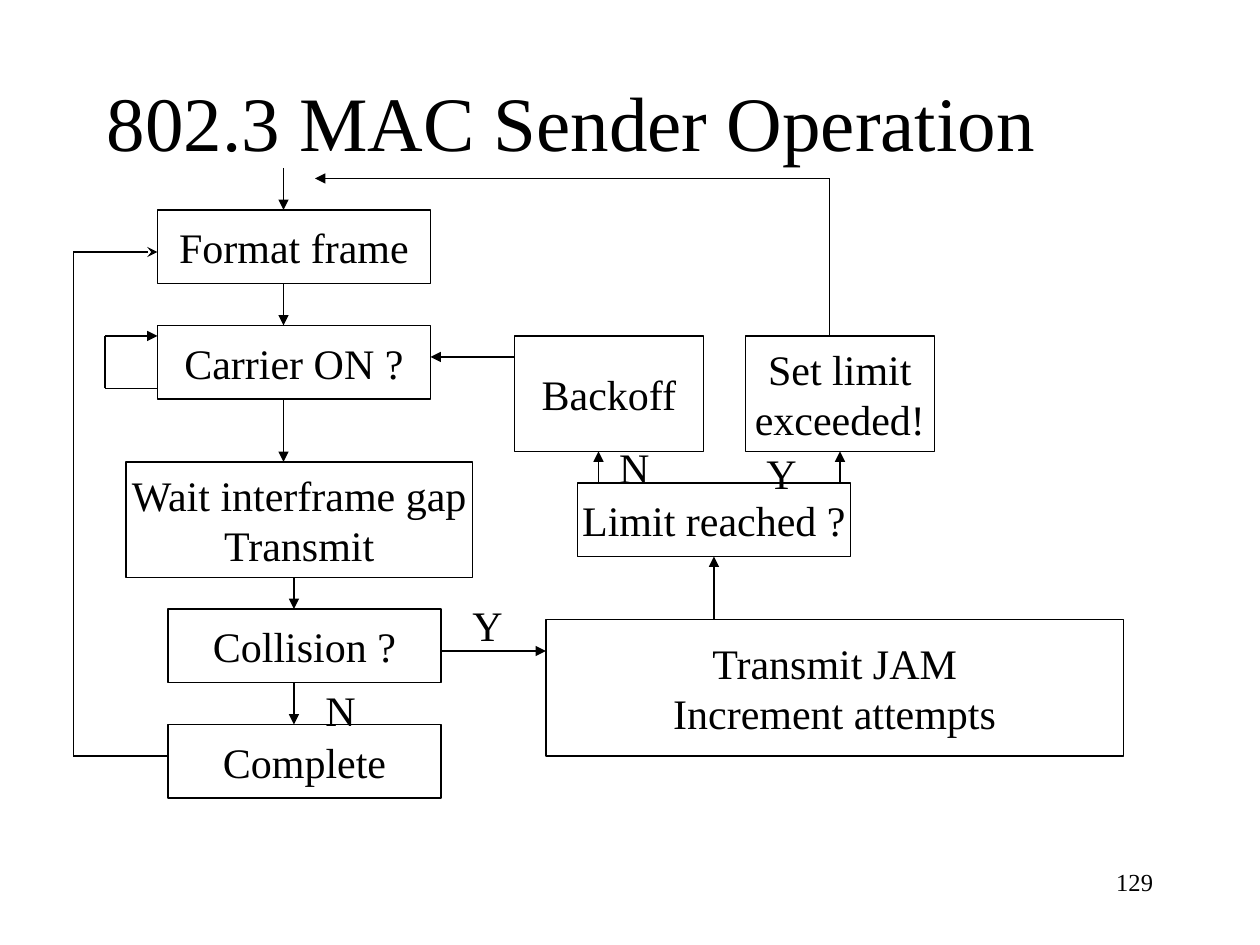
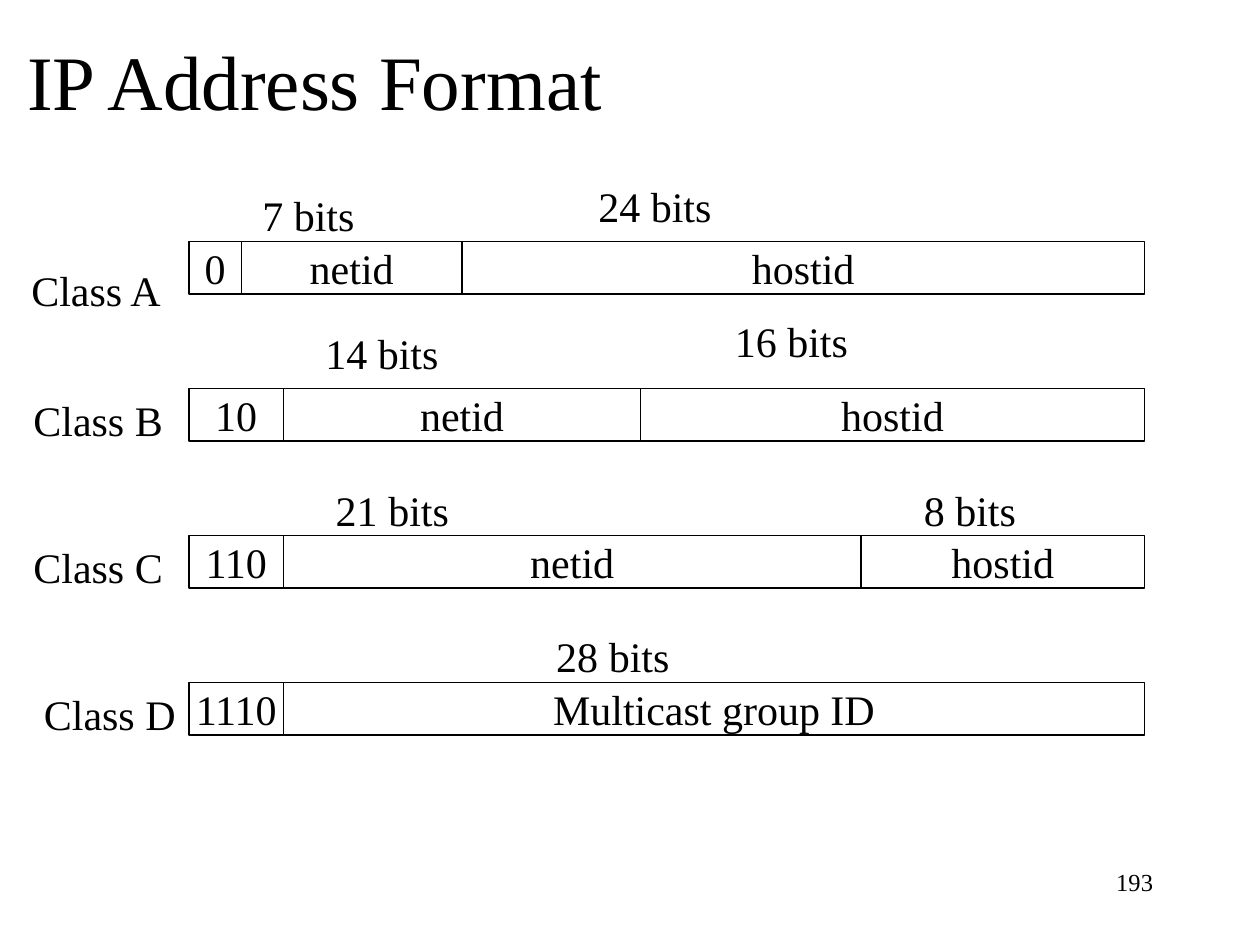
import itertools

import lxml.etree
import pptx
import pptx.dml.color
import pptx.enum.shapes
import pptx.enum.text
import pptx.oxml.ns
import pptx.util

# Both slides sit on a grid of twelve units to 2.54 cm
UNIT = 2.54 / 12
FONT = "Times New Roman"
color = pptx.dml.color.RGBColor.from_string
BLACK = color("000000")
WHITE = color("FFFFFF")
qn = pptx.oxml.ns.qn
Align = pptx.enum.text.PP_ALIGN
Anchor = pptx.enum.text.MSO_ANCHOR


def add_text(slide, text, place, size=24, align=Align.LEFT,
             anchor=Anchor.TOP, wrap=False, framed=False):
    """Add text at (left, top, width, height), in a ruled box if framed."""
    lengths = [pptx.util.Cm(value * UNIT) for value in place]
    if framed:
        shape = slide.shapes.add_shape(
            pptx.enum.shapes.MSO_SHAPE.RECTANGLE, *lengths)
        shape.shadow.inherit = False
        shape.fill.solid()
        shape.fill.fore_color.rgb = WHITE
        shape.line.color.rgb = BLACK
        shape.line.width = pptx.util.Pt(0.75)
        align, anchor = Align.CENTER, Anchor.MIDDLE
    else:
        shape = slide.shapes.add_textbox(*lengths)
    text_frame = shape.text_frame
    text_frame.text = text
    text_frame.word_wrap = wrap
    text_frame.vertical_anchor = anchor
    if not (framed or wrap):
        text_frame.auto_size = pptx.enum.text.MSO_AUTO_SIZE.SHAPE_TO_FIT_TEXT
    for paragraph in text_frame.paragraphs:
        paragraph.alignment = align
        for run in paragraph.runs:
            run.font.name = FONT
            run.font.size = pptx.util.Pt(size)
            run.font.color.rgb = BLACK
    return shape


def add_route(slide, points, head="triangle"):
    """Join the points with straight lines, the last one with an arrowhead."""
    for start, end in itertools.pairwise(points):
        connector = slide.shapes.add_connector(
            pptx.enum.shapes.MSO_CONNECTOR.STRAIGHT,
            *[pptx.util.Cm(value * UNIT) for value in start + end])
        connector.line.color.rgb = BLACK
        connector.line.width = pptx.util.Pt(0.75)
        properties = connector._element.spPr
        lxml.etree.SubElement(properties, qn("a:effectLst"))
    line = properties.find(qn("a:ln"))
    lxml.etree.SubElement(line, qn("a:tailEnd"), type=head)
    return connector


presentation = pptx.Presentation()
presentation.slide_width = pptx.util.Cm(25.4)
presentation.slide_height = pptx.util.Cm(19.05)

# Titles and page numbers
slides = []
for title, title_place, page in [
    ("802.3 MAC Sender Operation", (9, 4, 102, 15), "129"),
    ("IP Address Format", (1.4, 2.1, 102, 11), "193"),
]:
    slide = presentation.slides.add_slide(presentation.slide_layouts[6])
    add_text(slide, title, title_place, size=44, anchor=Anchor.MIDDLE, wrap=True)
    add_text(slide, page, (86, 82, 25, 6), size=14, align=Align.RIGHT, wrap=True)
    slides.append(slide)
sender_slide, address_slide = slides

# Sender flowchart: steps
steps = {}
for text, place in [
    ("Format frame", (15, 20, 26, 7)),
    ("Carrier ON ?", (15, 31, 26, 7)),
    ("Wait interframe gap\nTransmit", (12, 44, 33, 11)),
    ("Collision ?", (16, 58, 26, 7)),
    ("Complete", (16, 69, 26, 7)),
    ("Transmit JAM\nIncrement attempts", (52, 59, 55, 13)),
    ("Limit reached ?", (55, 46, 26, 7)),
    ("Backoff", (49, 32, 18, 11)),
    ("Set limit\nexceeded!", (71, 32, 18, 11)),
]:
    steps[text] = add_text(sender_slide, text, place, framed=True)

# Sender flowchart: arrows
for points in [
    [(27, 16), (27, 20)],
    [(27, 27), (27, 31)],
    [(27, 38), (27, 44)],
    [(28, 55), (28, 58)],
    [(28, 65), (28, 69)],
    [(42, 62), (52, 62)],
    [(57, 46), (57, 43)],
    [(49, 34), (41, 34)],
    [(15, 37), (10, 37), (10, 32), (15, 32)],
    [(79, 32), (79, 17), (30, 17)],
]:
    add_route(sender_slide, points)
add_route(sender_slide, [(16, 72), (7, 72), (7, 24), (15, 24)], head="stealth")
to_limit = add_route(sender_slide, [(68, 59), (68, 53)])
to_limit.end_connect(steps["Limit reached ?"], 2)
to_exceeded = add_route(sender_slide, [(80, 46), (80, 43)])
to_exceeded.end_connect(steps["Set limit\nexceeded!"], 2)

# Sender flowchart: answers
for answer, left, top in [
    ("Y", 43.8, 56.5), ("N", 29.8, 64.6), ("N", 57.8, 41.5), ("Y", 71.8, 42),
]:
    add_text(sender_slide, answer, (left, top, 5.3, 6))

# Address classes: name and its place, field edges, field texts, bit counts
address_classes = [
    ("Class A", 1.8, 24.6, (18, 23, 44, 109), ("0", "netid", "hostid"),
     [("7 bits", 23.8, 17.5), ("24 bits", 55.8, 16.6)]),
    ("Class B", 2, 37, (18, 27, 61, 109), ("10", "netid", "hostid"),
     [("14 bits", 29.8, 30.6), ("16 bits", 68.8, 29.5)]),
    ("Class C", 2, 51, (18, 27, 82, 109), ("110", "netid", "hostid"),
     [("21 bits", 30.8, 45.6), ("8 bits", 86.8, 45.6)]),
    ("Class D", 3, 65, (18, 27, 109), ("1110", "Multicast group ID"),
     [("28 bits", 51.8, 59.5)]),
]
for row, (name, name_left, name_top, edges, fields, counts) in enumerate(address_classes):
    field_top = 23 + 14 * row
    for field, (left, right) in zip(fields, itertools.pairwise(edges)):
        add_text(address_slide, field, (left, field_top, right - left, 5), framed=True)
    add_text(address_slide, name, (name_left, name_top, 15, 6))
    for count, left, top in counts:
        width = 11.2 if len(count) == 6 else 13.2
        add_text(address_slide, count, (left, top, width, 6))

presentation.save("out.pptx")
